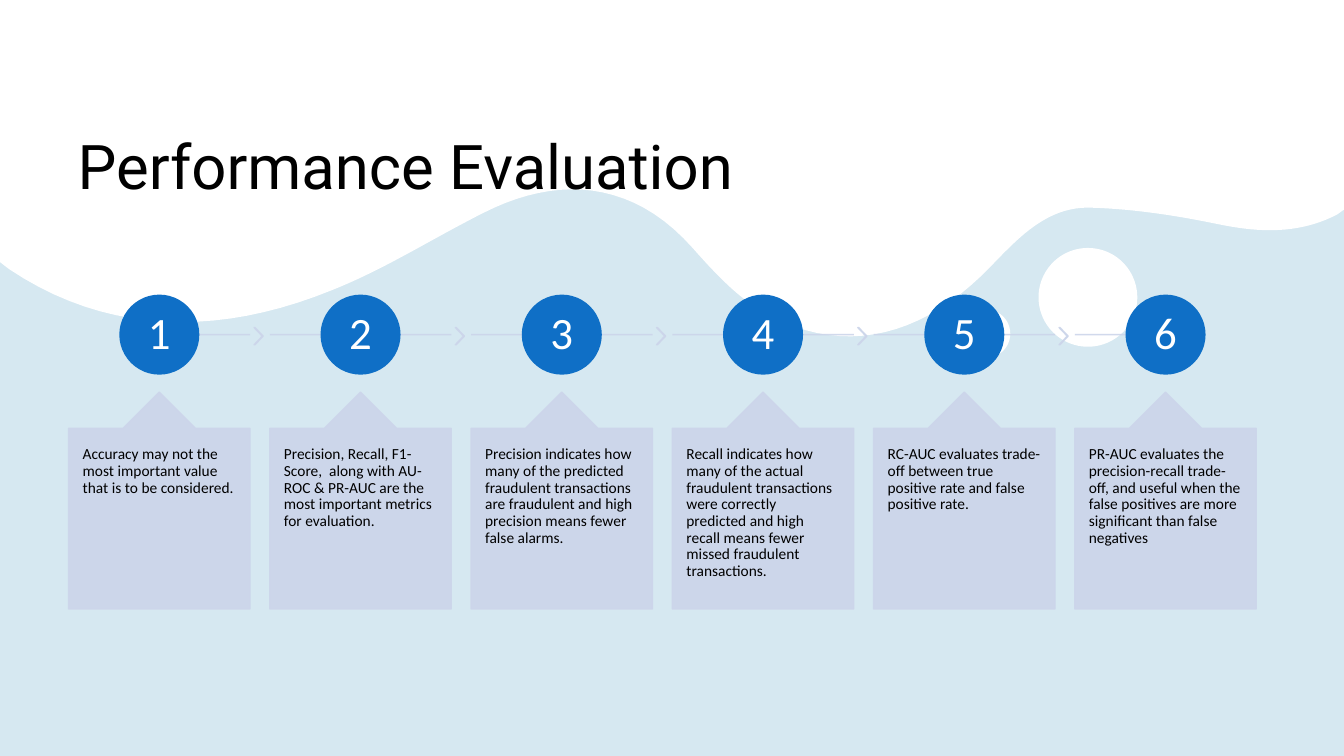
import pptx
import pptx.dml.color
import pptx.enum.dml
import pptx.enum.shapes
import pptx.enum.text
import pptx.oxml
import pptx.oxml.ns
import pptx.util

Inches = pptx.util.Inches
Pt = pptx.util.Pt
SHAPES = pptx.enum.shapes.MSO_SHAPE
ANCHORS = pptx.enum.text.MSO_ANCHOR
ALIGNMENTS = pptx.enum.text.PP_ALIGN

SLIDE_WIDTH = 13.33
SLIDE_HEIGHT = 7.5
SKY = "DBEFF9"
WHITE = "FFFFFF"
BLUE = "0F6FC6"
LAVENDER = "CCD5EA"
BLACK = "000000"

FINDINGS = [
    "Accuracy may not the most important value that is to be considered.",
    "Precision, Recall, F1-Score,  along with AU-ROC & PR-AUC are the most important metrics for evaluation.",
    "Precision indicates how many of the predicted fraudulent transactions are fraudulent and high precision means fewer false alarms.",
    "Recall indicates how many of the actual fraudulent transactions were correctly predicted and high recall means fewer missed fraudulent transactions.",
    "RC-AUC evaluates trade-off between true positive rate and false positive rate.",
    "PR-AUC evaluates the precision-recall trade-off, and useful when the false positives are more significant than false negatives",
]

WAVE_START = (13.26, 2.13)
WAVE_CURVES = [
    [(12.89, 2.32), (12.51, 2.31), (12.11, 2.23)],
    [(11.68, 2.14), (11.23, 2.07), (10.79, 2.06)],
    [(10.38, 2.06), (10.1, 2.36), (9.83, 2.64)],
    [(9.17, 3.33), (8.41, 3.53), (7.65, 3.14)],
    [(7.35, 2.99), (7.1, 2.72), (6.87, 2.46)],
    [(6.26, 1.77), (5.51, 1.75), (4.8, 2.11)],
    [(4.3, 2.36), (3.82, 2.67), (3.29, 2.88)],
    [(2.16, 3.34), (1.06, 3.32), (0.09, 2.67)],
]


def set_color(color_format, color, opacity=100):
    color_format.rgb = pptx.dml.color.RGBColor.from_string(color)
    if opacity < 100:
        for element in color_format._xFill.iter(pptx.oxml.ns.qn("a:srgbClr")):
            alpha = pptx.oxml.parse_xml(
                f'<a:alpha {pptx.oxml.ns.nsdecls("a")} val="{opacity * 1000}"/>'
            )
            element.append(alpha)


def paint(shape, color, opacity=100, outlined=False):
    shape.shadow.inherit = False
    shape.fill.solid()
    set_color(shape.fill.fore_color, color, opacity)
    if outlined:
        shape.line.width = Pt(1)
        shape.line.fill.solid()
        set_color(shape.line.fill.fore_color, color, opacity)
    else:
        shape.line.fill.background()


def add_preset(slide, preset, box, color, **format):
    shape = slide.shapes.add_shape(preset, *map(Inches, box))
    paint(shape, color, **format)
    return shape


def write_text(shape, text, size, font="Calibri", color=BLACK, align=ALIGNMENTS.LEFT,
               anchor=ANCHORS.TOP, insets=(0.1, 0.05), spacing=0.9):
    frame = shape.text_frame
    frame.word_wrap = True
    frame.vertical_anchor = anchor
    frame.margin_left = frame.margin_right = Inches(insets[0])
    frame.margin_top = frame.margin_bottom = Inches(insets[1])
    paragraph = frame.paragraphs[0]
    paragraph.alignment = align
    paragraph.line_spacing = spacing
    run = paragraph.add_run()
    run.text = text
    run.font.name = font
    run.font.size = Pt(size)
    set_color(run.font.color, color)


def sample_curve(start, first, second, end, steps=20):
    for step in range(1, steps + 1):
        t = step / steps
        weights = ((1 - t) ** 3, 3 * t * (1 - t) ** 2, 3 * t * t * (1 - t), t ** 3)
        yield tuple(
            sum(weight * value for weight, value in zip(weights, values))
            for values in zip(start, first, second, end)
        )


def draw_background(slide, left, top, width, height):
    slide.background.fill.solid()
    set_color(slide.background.fill.fore_color, SKY)
    add_preset(slide, SHAPES.RECTANGLE, (left, top, width, height), "AEAEAE", opacity=10)

    points = [(width, 0), (width, 2.08), WAVE_START]
    for curve in WAVE_CURVES:
        points.extend(sample_curve(points[-1], *curve))
    points.append((0, 2.6))
    builder = slide.shapes.build_freeform(Inches(left), Inches(top))
    builder.add_line_segments(
        [(Inches(left + x), Inches(top + y)) for x, y in points], close=True
    )
    paint(builder.convert_to_shape(), WHITE)

    for x, y, radius in [(9.78, 3.31, 0.24), (10.79, 2.95, 0.49)]:
        bubble = (left + x - radius, top + y - radius, 2 * radius, 2 * radius)
        add_preset(slide, SHAPES.OVAL, bubble, WHITE)


def draw_title(slide, left, top, width, height):
    title = slide.shapes.title
    title.left, title.top, title.width, title.height = map(Inches, (left, top, width, height))
    write_text(title, "Performance Evaluation", 44, font="Roboto", anchor=ANCHORS.BOTTOM)


def draw_track(slide, start, end, y):
    track = slide.shapes.add_connector(
        pptx.enum.shapes.MSO_CONNECTOR.STRAIGHT, Inches(start), Inches(y), Inches(end), Inches(y)
    )
    track.line.width = Pt(1)
    track.line.fill.solid()
    set_color(track.line.fill.fore_color, LAVENDER, 90)
    properties = track._element.spPr
    properties.append(pptx.oxml.parse_xml(f'<a:effectLst {pptx.oxml.ns.nsdecls("a")}/>'))


def draw_step(slide, left, top, width, height, number, finding, first, last):
    diameter = 0.78
    center = left + width / 2
    track_y = top + diameter / 2
    draw_track(slide, center if first else left, center if last else left + width, track_y)
    if not last:
        chevron = add_preset(slide, SHAPES.CHEVRON, (left + width + 0.04, track_y - 0.07, 0.09, 0.17),
                             LAVENDER, opacity=90, outlined=True)
        chevron.adjustments[0] = 0.9

    circle = add_preset(slide, SHAPES.OVAL, (center - diameter / 2, top, diameter, diameter),
                        BLUE, outlined=True)
    write_text(circle, str(number), 32, color=WHITE, align=ALIGNMENTS.CENTER,
               anchor=ANCHORS.MIDDLE, insets=(0.03, 0.03))

    callout_top = 0.96
    callout = add_preset(slide, SHAPES.UP_ARROW_CALLOUT,
                         (left, top + callout_top, width, height - callout_top),
                         LAVENDER, opacity=90, outlined=True)
    for index, value in enumerate((0.5, 0.2, 0.2, 1)):
        callout.adjustments[index] = value
    write_text(callout, finding, 11, insets=(0.14, 0.18))


def draw_timeline(slide, left, top, width, height):
    step_width = 1.8
    pitch = (width - step_width) / (len(FINDINGS) - 1)
    for index, finding in enumerate(FINDINGS):
        draw_step(slide, left + index * pitch, top, step_width, height, index + 1, finding,
                  first=index == 0, last=index == len(FINDINGS) - 1)


def main():
    presentation = pptx.Presentation()
    presentation.slide_width = Inches(SLIDE_WIDTH)
    presentation.slide_height = Inches(SLIDE_HEIGHT)
    slide = presentation.slides.add_slide(presentation.slide_layouts.get_by_name("Title Only"))
    draw_background(slide, 0, 0, SLIDE_WIDTH, SLIDE_HEIGHT)
    draw_title(slide, 0.67, 0.61, 12, 1.45)
    draw_timeline(slide, 0.68, 2.93, 11.78, 3.11)
    title_element = slide.shapes.title._element
    timeline_start = 6
    slide.shapes._spTree.insert(timeline_start, title_element)
    presentation.save("out.pptx")


if __name__ == "__main__":
    main()
